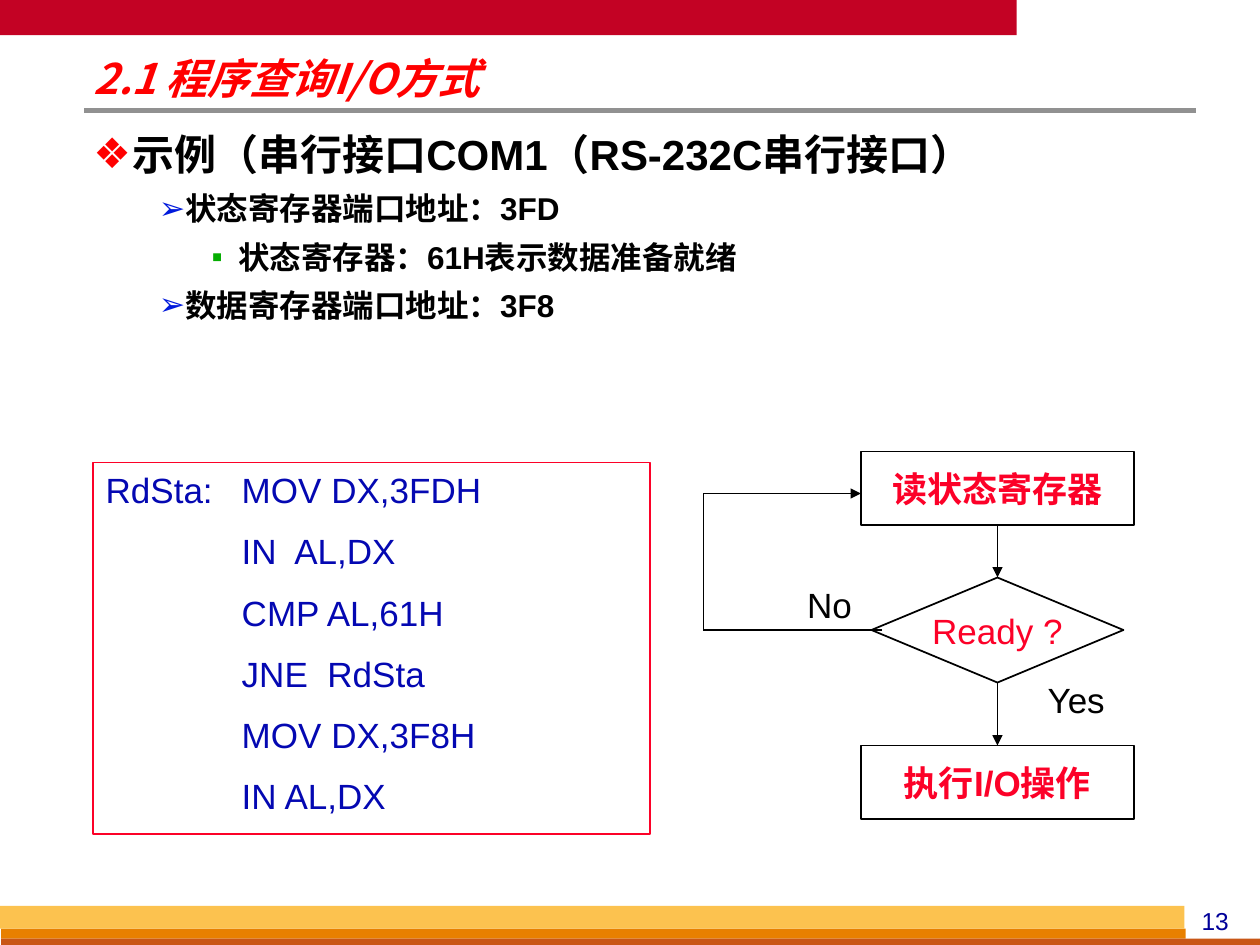
import pptx
import pptx.util
import pptx.dml.color
import pptx.enum.shapes
import pptx.enum.text
import pptx.oxml
import pptx.oxml.ns
import lxml.etree

Inches, Pt = pptx.util.Inches, pptx.util.Pt
RGB = pptx.dml.color.RGBColor
Shape = pptx.enum.shapes.MSO_SHAPE
Align = pptx.enum.text.PP_ALIGN
Anchor = pptx.enum.text.MSO_ANCHOR
Fit = pptx.enum.text.MSO_AUTO_SIZE
qn = pptx.oxml.ns.qn

BLACK = RGB(0x00, 0x00, 0x00)
RED = RGB(0xFF, 0x00, 0x00)
ROSE = RGB(0xFC, 0x01, 0x28)
CRIMSON = RGB(0xC3, 0x02, 0x24)
GRAY = RGB(0x91, 0x91, 0x91)
GOLD = RGB(0xFC, 0xC2, 0x4F)
ORANGE = RGB(0xE8, 0x80, 0x00)
RUST = RGB(0xC9, 0x56, 0x16)
NAVY = RGB(0x00, 0x00, 0x99)
INK = RGB(0x04, 0x08, 0xB2)
BLUE = RGB(0x00, 0x1A, 0xDC)
GREEN = RGB(0x05, 0xAD, 0x01)

UNIT = 1 / 12

LEVELS = [
    ("❖", RED, 24, 0.31, 0.31),
    ("➢", BLUE, 18, 0.73, 0.21),
    ("▪", GREEN, 18, 1.15, 0.21),
]
POINTS = [
    (0, "示例（串行接口COM1（RS-232C串行接口）"),
    (1, "状态寄存器端口地址：3FD"),
    (2, "状态寄存器：61H表示数据准备就绪"),
    (1, "数据寄存器端口地址：3F8"),
]
CODE = [
    "RdSta:\tMOV DX,3FDH",
    "IN  AL,DX",
    "CMP AL,61H",
    "JNE  RdSta",
    "MOV DX,3F8H",
    "IN AL,DX",
]


def style(para, size, color, bold=False, face="Arial"):
    font = para.font
    font.name, font.size, font.bold = face, Pt(size), bold
    font.color.rgb = color


def indent(para, left, hang):
    props = para._p.get_or_add_pPr()
    props.set("marL", str(Inches(left)))
    props.set("indent", str(-Inches(hang)))
    return props


def bullet(para, mark, color, left, hang):
    props = indent(para, left, hang)
    tint = lxml.etree.SubElement(props, qn("a:buClr"))
    lxml.etree.SubElement(tint, qn("a:srgbClr"), val=str(color))
    lxml.etree.SubElement(props, qn("a:buFont"), typeface="Arial")
    lxml.etree.SubElement(props, qn("a:buChar"), char=mark)


def block(slide, kind, box, fill=None, edge=None):
    shape = slide.shapes.add_shape(kind, *map(Inches, box))
    shape.shadow.inherit = False
    if fill is None:
        shape.fill.background()
    else:
        shape.fill.solid()
        shape.fill.fore_color.rgb = fill
    if edge is None:
        shape.line.fill.background()
    else:
        shape.line.color.rgb = edge
        shape.line.width = Pt(1)
    return shape


def label(slide, box, text, size, color):
    frame = slide.shapes.add_textbox(*map(Inches, box)).text_frame
    frame.word_wrap = True
    para = frame.paragraphs[0]
    para.text = text
    para.alignment = Align.CENTER
    style(para, size, color)


def wire(slide, start, end, color=BLACK, width=1, arrow=False):
    kind = pptx.enum.shapes.MSO_CONNECTOR.STRAIGHT
    line = slide.shapes.add_connector(kind, *map(Inches, (*start, *end)))
    line.line.color.rgb = color
    line.line.width = Pt(width)
    props = line._element.spPr
    if arrow:
        lxml.etree.SubElement(line.line._get_or_add_ln(), qn("a:tailEnd"), type="triangle")
    lxml.etree.SubElement(props, qn("a:effectLst"))
    return line


def holder(shape, box):
    shape.left, shape.top, shape.width, shape.height = map(Inches, box)
    frame = shape.text_frame
    frame.auto_size = Fit.NONE
    frame.word_wrap = True
    frame.margin_left = frame.margin_right = Inches(0.07)
    frame.margin_top = frame.margin_bottom = Inches(0.03)
    return frame


def trim(slide, box):
    x, y, w, h = box
    block(slide, Shape.RECTANGLE, (x, y, 0.807 * w, 0.28), CRIMSON)
    wire(slide, (x + 0.067 * w, y + 0.88), (x + 0.949 * w, y + 0.88), GRAY, 3)
    foot, wide = y + h, 0.94 * w
    block(slide, Shape.RECTANGLE, (x + 0.01, foot - 0.13, wide, 0.08), ORANGE)
    block(slide, Shape.RECTANGLE, (x + 0.01, foot - 0.05, w - 0.01, 0.05), RUST)
    block(slide, Shape.RECTANGLE, (x, foot - 0.31, wide, 0.18), GOLD)
    label(slide, (x + 0.933 * w, foot - 0.36, 0.63, 0.33), "13", 14, NAVY)


def heading(slide, box):
    frame = holder(slide.shapes.title, box)
    frame.vertical_anchor = Anchor.MIDDLE
    para = frame.paragraphs[0]
    para.text = "2.1 程序查询I/O方式"
    para.alignment = Align.LEFT
    para.line_spacing = 0.87
    style(para, 24, RED, True, "Noto Sans CJK SC")
    para.font.italic = True


def outline(slide, box):
    frame = holder(slide.placeholders[1], box)
    frame.vertical_anchor = Anchor.TOP
    for i, (level, text) in enumerate(POINTS):
        para = frame.add_paragraph() if i else frame.paragraphs[0]
        para.text = text
        para.level = level
        para.space_before = Pt(6 if i else 0)
        mark, color, size, left, hang = LEVELS[level]
        bullet(para, mark, color, left, hang)
        style(para, size, BLACK, True)


def listing(slide, box):
    frame = block(slide, Shape.RECTANGLE, box, edge=ROSE).text_frame
    frame.word_wrap = True
    frame.vertical_anchor = Anchor.TOP
    for i, text in enumerate(CODE):
        para = frame.add_paragraph() if i else frame.paragraphs[0]
        para.text = text
        para.alignment = Align.LEFT
        para.space_before = Pt(11 if i else 0)
        indent(para, 1.08, 0 if i else 1.08)
        style(para, 20, INK)


def flow(slide, box):
    x, y = box[:2]

    def spot(col, row):
        return x + col * UNIT, y + row * UNIT

    def area(col, row, wide, high):
        return *spot(col, row), wide * UNIT, high * UNIT

    def step(kind, cells, text, bold):
        shape = block(slide, kind, area(*cells), edge=BLACK)
        frame = shape.text_frame
        frame.word_wrap = False
        frame.vertical_anchor = Anchor.MIDDLE
        para = frame.paragraphs[0]
        para.text = text
        para.alignment = Align.CENTER
        style(para, 20, ROSE, bold)
        return shape

    steps = [
        step(Shape.RECTANGLE, (15, 0, 26, 7), "读状态寄存器", True),
        step(Shape.DIAMOND, (16, 12, 24, 10), "Ready ?", False),
        step(Shape.RECTANGLE, (15, 28, 26, 7), "执行I/O操作", True),
    ]
    for above, below in zip(steps, steps[1:]):
        line = wire(slide, spot(28, 7), spot(28, 12), arrow=True)
        line.begin_connect(above, 2)
        line.end_connect(below, 0)
    loop = [spot(17, 17), spot(0, 17), spot(0, 4), spot(15, 4)]
    for i, (start, end) in enumerate(zip(loop, loop[1:])):
        wire(slide, start, end, arrow=i == 2)
    label(slide, area(7, 12, 10, 5), "No", 20, BLACK)
    label(slide, area(30, 21, 11, 5), "Yes", 20, BLACK)


def main():
    deck = pptx.Presentation()
    deck.slide_width, deck.slide_height = Inches(10), Inches(7.5)
    slide = deck.slides.add_slide(deck.slide_layouts[1])
    trim(slide, (0, 0, 10, 7.5))
    heading(slide, (0.67, 0.44, 5.75, 0.41))
    outline(slide, (0.67, 0.99, 8.74, 2.01))
    flow(slide, (67 * UNIT, 43 * UNIT))
    listing(slide, (0.74, 3.67, 4.42, 2.95))
    deck.save("out.pptx")


if __name__ == "__main__":
    main()
